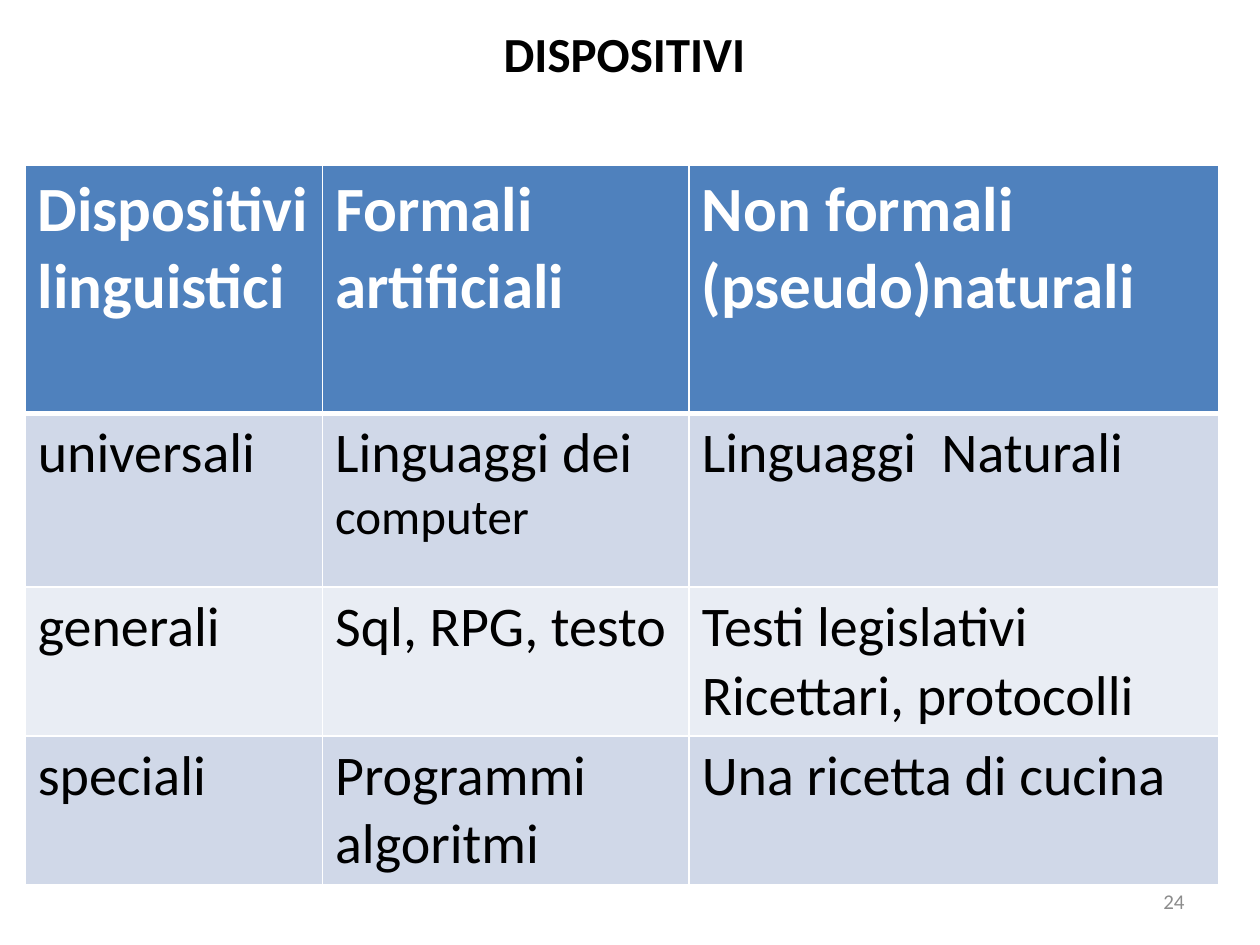
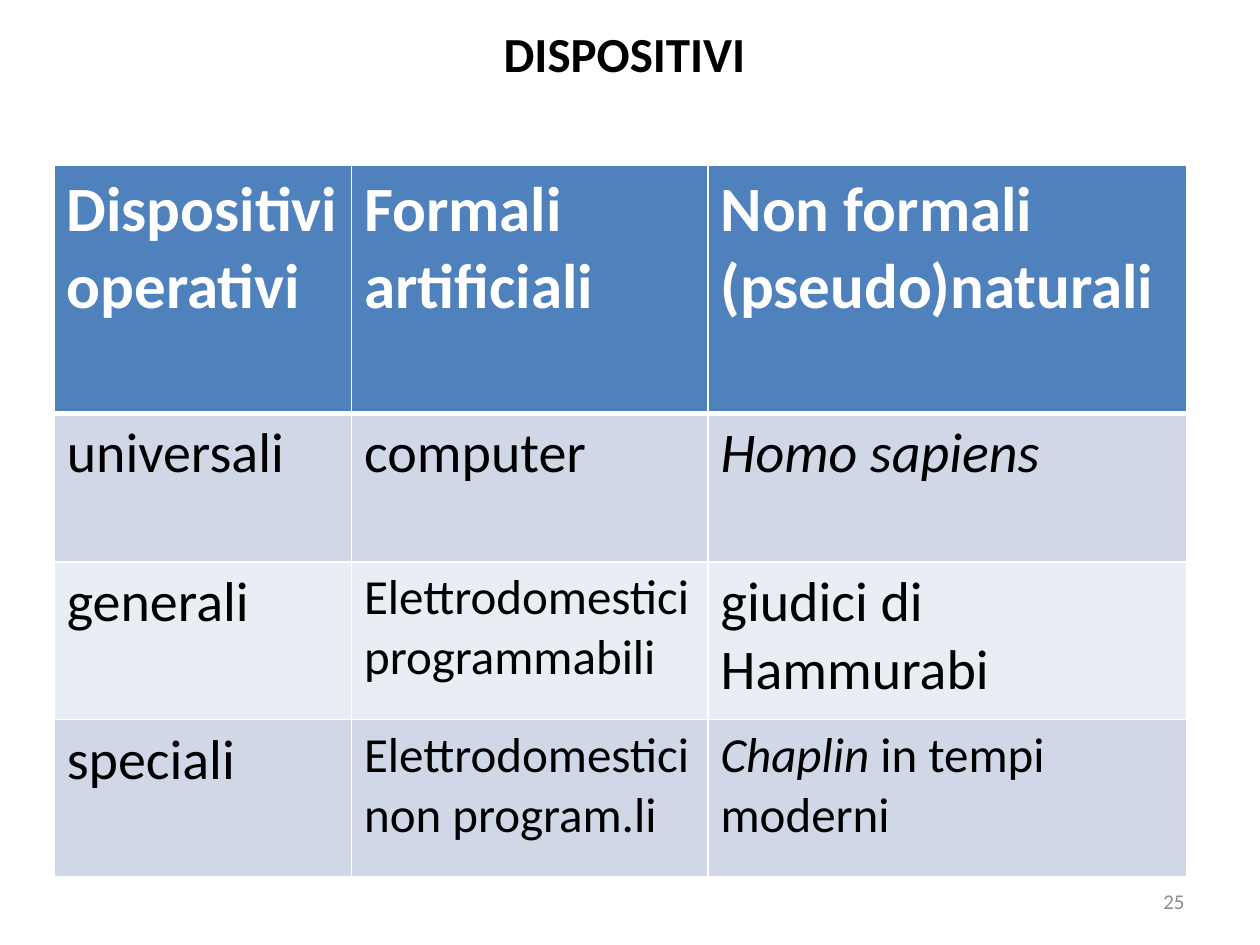
from lxml import etree
from pptx import Presentation
from pptx.dml.color import RGBColor
from pptx.enum.text import MSO_ANCHOR, PP_ALIGN
from pptx.oxml.ns import qn
from pptx.util import Inches, Pt

CENTER, RIGHT, LEFT = PP_ALIGN.CENTER, PP_ALIGN.RIGHT, PP_ALIGN.LEFT
MIDDLE = MSO_ANCHOR.MIDDLE
FONT = "Calibri"
BLACK = RGBColor(0x00, 0x00, 0x00)
WHITE = RGBColor(0xFF, 0xFF, 0xFF)
GREY = RGBColor(0x8C, 0x8C, 0x8C)
HEADER_BLUE = RGBColor(0x4F, 0x81, 0xBD)
BANDS = (RGBColor(0xD0, 0xD8, 0xE8), RGBColor(0xE9, 0xED, 0xF4))
HEADER_SIZE, BODY_SIZE, SMALL_SIZE = 36, 32, 28
TABLE_TOP = 1.31

TITLE = "DISPOSITIVI "
FORMAL = ["Formali ", "artificiali"]
INFORMAL = ["Non formali ", "(pseudo)naturali"]


def small(text):
    return [(text, SMALL_SIZE, False)]


# A cell is a list of paragraphs: plain text, or a list of (text, size, italic) runs
SLIDES = [
    {
        "number": "24", "left": 0.2,
        "columns": [2.36, 2.91, 4.2], "rows": [1.97, 1.38, 1.18, 1.18],
        "cells": [
            [["Dispositivi", "linguistici"], FORMAL, INFORMAL],
            [["universali"], ["Linguaggi dei ", small("computer")], ["Linguaggi  Naturali"]],
            [["generali"], ["Sql, RPG, testo"], ["Testi legislativi Ricettari, protocolli"]],
            [["speciali"], ["Programmi algoritmi"], ["Una ricetta di cucina"]],
        ],
    },
    {
        "number": "25", "left": 0.43,
        "columns": [2.36, 2.83, 3.8], "rows": [1.97, 1.18, 1.25, 1.25],
        "cells": [
            [["Dispositivi", "operativi"], FORMAL, INFORMAL],
            [["universali"], ["computer"], [[("Homo sapiens", BODY_SIZE, True)]]],
            [["generali"], [small("Elettrodomestici "), small("programmabili")],
             ["giudici di Hammurabi"]],
            [["speciali"], [small("Elettrodomestici "), small("non program.li")],
             [[("Chaplin", SMALL_SIZE, True), (" in tempi moderni", SMALL_SIZE, False)]]],
        ],
    },
]


def write(frame, paragraphs, size, color, bold=False, align=LEFT):
    for index, content in enumerate(paragraphs):
        paragraph = frame.add_paragraph() if index else frame.paragraphs[0]
        paragraph.alignment = align
        runs = [(content, size, False)] if isinstance(content, str) else content
        for text, run_size, italic in runs:
            run = paragraph.add_run()
            run.text = text
            run.font.name = FONT
            run.font.size = Pt(run_size)
            run.font.bold = bold
            run.font.italic = italic
            run.font.color.rgb = color


def add_label(slide, box, text, size, color, align, bold=False):
    frame = slide.shapes.add_textbox(*map(Inches, box)).text_frame
    frame.word_wrap = True
    frame.vertical_anchor = MIDDLE
    write(frame, [text], size, color, bold, align)


def set_borders(cell, widths):
    properties = cell._tc.get_or_add_tcPr()
    for side, width in widths.items():
        line = etree.SubElement(properties, qn("a:" + side), w=str(Pt(width)))
        fill = etree.SubElement(line, qn("a:solidFill"))
        etree.SubElement(fill, qn("a:srgbClr"), val=str(WHITE))


def add_device_table(slide, data):
    columns, rows = data["columns"], data["rows"]
    table = slide.shapes.add_table(
        len(rows), len(columns), Inches(data["left"]), Inches(TABLE_TOP),
        Inches(sum(columns)), Inches(sum(rows))).table
    for column, width in zip(table.columns, columns):
        column.width = Inches(width)
    for r, (row_height, row_cells) in enumerate(zip(rows, data["cells"])):
        table.rows[r].height = Inches(row_height)
        header = r == 0
        for c, paragraphs in enumerate(row_cells):
            cell = table.cell(r, c)
            # The rule under the header is thicker than the others
            set_borders(cell, {"lnL": 1, "lnR": 1, "lnT": 3 if r == 1 else 1,
                               "lnB": 3 if header else 1})
            cell.fill.solid()
            cell.fill.fore_color.rgb = HEADER_BLUE if header else BANDS[(r - 1) % 2]
            write(cell.text_frame, paragraphs, HEADER_SIZE if header else BODY_SIZE,
                  WHITE if header else BLACK, bold=header)


presentation = Presentation()
presentation.slide_width, presentation.slide_height = Inches(10), Inches(7.5)
blank_layout = presentation.slide_layouts[6]

for data in SLIDES:
    slide = presentation.slides.add_slide(blank_layout)
    add_label(slide, (0.5, 0, 9, 0.84), TITLE, 28, BLACK, CENTER, bold=True)
    add_device_table(slide, data)
    add_label(slide, (7.17, 6.95, 2.33, 0.4), data["number"], 12, GREY, RIGHT)

presentation.save("out.pptx")
